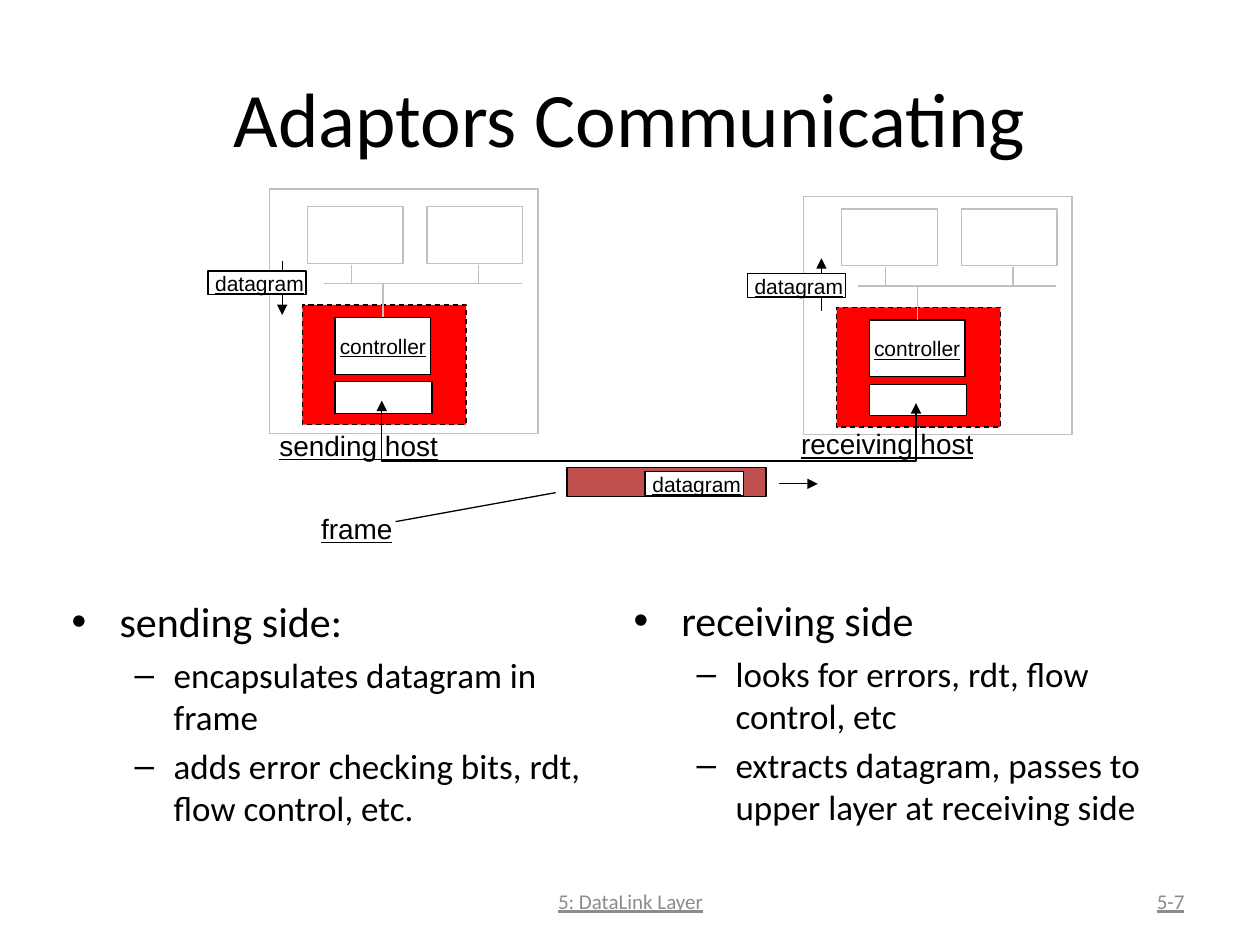
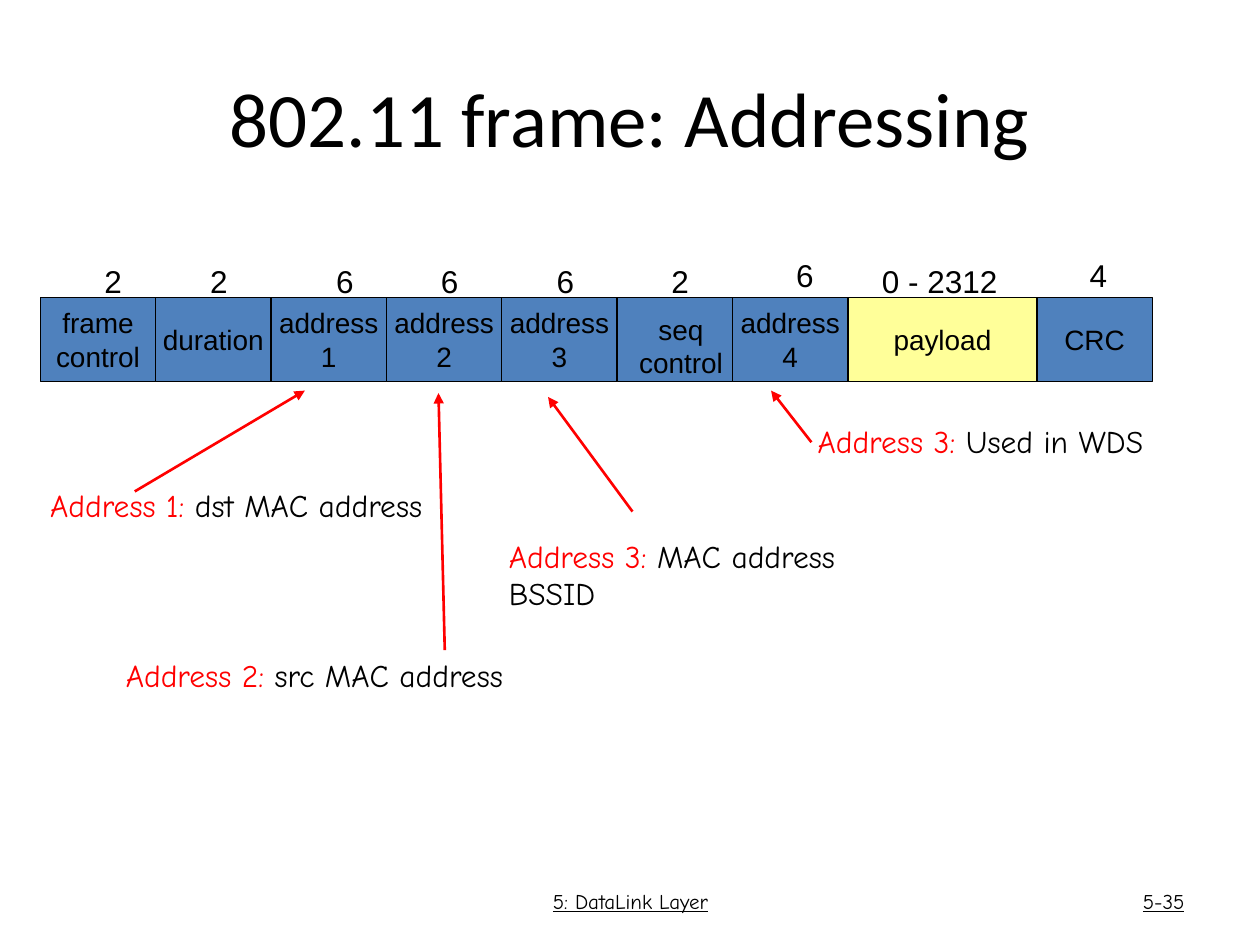
from dataclasses import dataclass
from typing import NamedTuple

from lxml import etree
from pptx import Presentation
from pptx.dml.color import RGBColor
from pptx.enum.dml import MSO_LINE
from pptx.enum.shapes import MSO_CONNECTOR, MSO_SHAPE
from pptx.enum.text import MSO_ANCHOR, MSO_AUTO_SIZE, PP_ALIGN
from pptx.oxml.ns import qn
from pptx.util import Inches, Pt

RECT = MSO_SHAPE.RECTANGLE
STRAIGHT = MSO_CONNECTOR.STRAIGHT
LEFT, CENTER, RIGHT = PP_ALIGN.LEFT, PP_ALIGN.CENTER, PP_ALIGN.RIGHT
TOP, MIDDLE = MSO_ANCHOR.TOP, MSO_ANCHOR.MIDDLE
DASH = MSO_LINE.DASH
FIT_SHAPE = MSO_AUTO_SIZE.SHAPE_TO_FIT_TEXT

BLACK, WHITE, GRAY, FOOTER_GRAY = "000000", "FFFFFF", "C0C0C0", "8C8C8C"
RED, BRICK, BLUE, YELLOW = "FF0000", "C0504D", "4F81BD", "FFFF99"
HEADING_FONT, LABEL_FONT, NOTE_FONT = "Calibri", "Arial", "Comic Neue"
TITLE_ONLY = 5


class Style(NamedTuple):
    font: str
    size: int
    color: str = BLACK
    underline: bool = False


class Run(NamedTuple):
    text: str
    style: Style


class Point(NamedTuple):
    x: float
    y: float


class Box(NamedTuple):
    x: float
    y: float
    w: float
    h: float


@dataclass
class Host:
    dx: float
    dy: float
    frame: Box
    name: str
    name_box: Box
    arrow_start: Point
    arrow_end: Point
    datagram: Point


@dataclass
class Field:
    lines: list[str]
    size: str
    size_at: Point
    w: float
    fill: str = BLUE
    size_w: float = 0.34


@dataclass
class Callout:
    label: str
    lines: list[str]
    box: Box
    arrow_start: Point
    arrow_end: Point
    wrap: bool = False


TITLE_STYLE = Style(HEADING_FONT, 44)
LABEL = Style(LABEL_FONT, 16, underline=True)
SMALL_LABEL = Style(LABEL_FONT, 12, underline=True)
FIELD_STYLE = Style(LABEL_FONT, 16)
SIZE_STYLE = Style(LABEL_FONT, 18)
NOTE_STYLE = Style(NOTE_FONT, 18)
NOTE_LABEL = Style(NOTE_FONT, 18, RED)

HOSTS = [
    Host(0, 0, Box(2.14, 1.5, 2.13, 1.94), "sending host", Box(2.12, 3.35, 1.46, 0.37),
         Point(2.24, 2.07), Point(2.24, 2.5), Point(1.65, 2.15)),
    Host(4.24, 0.02, Box(6.38, 1.56, 2.13, 1.89), "receiving host", Box(6.26, 3.34, 1.57, 0.37),
         Point(6.52, 2.47), Point(6.52, 2.05), Point(5.93, 2.17)),
]

SIDES = [
    (Box(0.47, 4.68, 4.45, 2.12), "sending side:",
     ["encapsulates datagram in frame", "adds error checking bits, rdt, flow control, etc."]),
    (Box(4.93, 4.67, 4.47, 2.02), "receiving side",
     ["looks for errors, rdt, flow control, etc",
      "extracts datagram, passes to upper layer at receiving side"]),
]

FIELD_X, FIELD_Y, FIELD_H = 0.32, 2.36, 0.67
FIELD_W = 6.41 / 7
SIZE_Y, HIGH_SIZE_Y = 2.03, 1.98
FIELDS = [
    Field(["frame", "control"], "2", Point(0.73, SIZE_Y), FIELD_W),
    Field(["duration"], "2", Point(1.57, SIZE_Y), FIELD_W),
    Field(["address", "1"], "6", Point(2.57, SIZE_Y), FIELD_W),
    Field(["address", "2"], "6", Point(3.4, SIZE_Y), FIELD_W),
    Field(["address", "3"], "6", Point(4.32, SIZE_Y), FIELD_W),
    Field([], "2", Point(5.23, SIZE_Y), FIELD_W),
    Field(["address", "4"], "6", Point(6.22, HIGH_SIZE_Y), FIELD_W),
    Field(["payload"], "0 - 2312", Point(6.9, SIZE_Y), 1.5, YELLOW, 1.12),
    Field(["CRC"], "4", Point(8.55, HIGH_SIZE_Y), FIELD_W),
]

CALLOUTS = [
    Callout("Address 1: ", ["dst MAC address"], Box(0.3, 3.81, 3.56, 0.4),
            Point(1.07, 3.9), Point(2.42, 3.1)),
    Callout("Address 2: ", ["src MAC address"], Box(0.9, 5.16, 3.59, 0.4),
            Point(3.53, 5.16), Point(3.48, 3.12)),
    Callout("Address 3:", [" MAC address", "BSSID"], Box(3.94, 4.21, 3.34, 0.7),
            Point(5.02, 4.06), Point(4.35, 3.15), True),
    Callout("Address 3:", [" Used in WDS"], Box(6.39, 3.3, 2.85, 0.71),
            Point(6.44, 3.51), Point(6.12, 3.1), True),
]


def rgb(color: str) -> RGBColor:
    return RGBColor.from_string(color)


def emu(values) -> list:
    return [Inches(v) for v in values]


def add_run(p, text: str, style: Style) -> None:
    r = p.add_run()
    r.text = text
    r.font.name = style.font
    r.font.size = Pt(style.size)
    r.font.color.rgb = rgb(style.color)
    if style.underline:
        r.font.underline = True


def fill_text(tf, paragraphs: list[list[Run]], align=LEFT, anchor=TOP, wrap=False) -> None:
    tf.word_wrap = wrap
    tf.vertical_anchor = anchor
    for i, runs in enumerate(paragraphs):
        p = tf.add_paragraph() if i else tf.paragraphs[0]
        p.alignment = align
        for text, style in runs:
            add_run(p, text, style)


def add_text(s, box: Box, paragraphs: list[list[Run]], align=LEFT, anchor=TOP,
             wrap=False, grow=True):
    sp = s.shapes.add_textbox(*emu(box))
    fill_text(sp.text_frame, paragraphs, align, anchor, wrap)
    if grow:
        sp.text_frame.auto_size = FIT_SHAPE
    return sp


def add_rect(s, box: Box, fill: str = WHITE, line: str = BLACK, dashed: bool = False):
    sp = s.shapes.add_shape(RECT, *emu(box))
    sp.shadow.inherit = False
    sp.fill.solid()
    sp.fill.fore_color.rgb = rgb(fill)
    style_line(sp, line)
    if dashed:
        sp.line.dash_style = DASH
    return sp


def style_line(sp, color: str, width: float = 0.75, arrows: tuple = ()) -> None:
    sp.line.color.rgb = rgb(color)
    sp.line.width = Pt(width)
    ln = sp.element.spPr.find(qn("a:ln"))
    for end in arrows:
        etree.SubElement(ln, qn(f"a:{end}"), type="triangle")


def add_line(s, start: Point, end: Point, color: str = BLACK, width: float = 0.75,
             arrow: bool = False):
    cx = s.shapes.add_connector(STRAIGHT, *emu(start + end))
    style_line(cx, color, width, ("tailEnd",) if arrow else ())
    etree.SubElement(cx.element.spPr, qn("a:effectLst"))
    return cx


def add_bullets(s, box: Box, heading: str, items: list[str]) -> None:
    rows = [(heading, 24, "•", 0.38, 0.38)] + [(t, 20, "–", 0.81, 0.31) for t in items]
    sp = add_text(s, box, [[Run(t, Style(HEADING_FONT, size))] for t, size, *_ in rows],
                  wrap=True, grow=False)
    for i, (p, row) in enumerate(zip(sp.text_frame.paragraphs, rows)):
        _, size, mark, margin, hang = row
        pPr = p._p.get_or_add_pPr()
        pPr.set("marL", str(Inches(margin)))
        pPr.set("indent", str(-Inches(hang)))
        etree.SubElement(pPr, qn("a:buFont"), typeface=LABEL_FONT)
        etree.SubElement(pPr, qn("a:buChar"), char=mark)
        if i:
            p.space_before = Pt(size * 0.2)


def new_slide(prs, title: str, number: str, footer_style: Style):
    s = prs.slides.add_slide(prs.slide_layouts[TITLE_ONLY])
    sp = s.shapes.title
    sp.left, sp.top, sp.width, sp.height = emu(Box(0.5, 0.3, 9, 1.25))
    fill_text(sp.text_frame, [[Run(title, TITLE_STYLE)]], CENTER, MIDDLE, True)
    for box, text, align in ((Box(3.42, 6.95, 3.17, 0.4), "5: DataLink Layer", CENTER),
                             (Box(7.17, 6.95, 2.33, 0.4), number, RIGHT)):
        add_text(s, box, [[Run(text, footer_style)]], align, MIDDLE, True, False)
    return s


def draw_datagram(s, at: Point) -> None:
    add_rect(s, Box(at.x, at.y, 0.78, 0.19))
    add_text(s, Box(at.x - 0.04, at.y - 0.05, 0.96, 0.3), [[Run("datagram", SMALL_LABEL)]])


def draw_host(s, host: Host) -> None:
    def box(x: float, y: float, w: float, h: float) -> Box:
        return Box(x + host.dx, y + host.dy, w, h)

    def point(x: float, y: float) -> Point:
        return Point(x + host.dx, y + host.dy)

    add_rect(s, host.frame, line=GRAY)
    add_line(s, host.arrow_start, host.arrow_end, arrow=True)
    add_rect(s, box(2.4, 2.42, 1.3, 0.95), RED, dashed=True)
    add_rect(s, box(2.66, 3.03, 0.77, 0.25))
    controller = add_rect(s, box(2.66, 2.52, 0.76, 0.45))
    fill_text(controller.text_frame, [[Run("controller", SMALL_LABEL)]], CENTER, MIDDLE)
    add_line(s, point(2.57, 2.25), point(4.14, 2.25), GRAY)
    stub = add_line(s, point(3.04, 2.52), point(3.04, 2.25), GRAY)
    stub.begin_connect(controller, 0)
    for unit_x, drop_x in ((2.44, 2.79), (3.39, 3.8)):
        add_rect(s, box(unit_x, 1.64, 0.76, 0.45), line=GRAY)
        add_line(s, point(drop_x, 2.25), point(drop_x, 2.1), GRAY)
    add_text(s, host.name_box, [[Run(host.name, LABEL)]])
    draw_datagram(s, host.datagram)


def draw_link(s) -> None:
    start, *rest = [emu(pt) for pt in ((3.03, 3.18), (3.03, 3.66), (7.27, 3.66), (7.27, 3.2))]
    builder = s.shapes.build_freeform(*start)
    builder.add_line_segments(rest, close=False)
    link = builder.convert_to_shape()
    link.shadow.inherit = False
    link.fill.background()
    style_line(link, BLACK, arrows=("headEnd", "tailEnd"))


def build_adaptors(prs) -> None:
    s = new_slide(prs, "Adaptors Communicating", "5-7",
                  Style(HEADING_FONT, 12, FOOTER_GRAY, True))
    for side in SIDES:
        add_bullets(s, *side)
    add_rect(s, Box(4.5, 3.71, 1.58, 0.23), BRICK)
    for host in HOSTS:
        draw_host(s, host)
    draw_link(s)
    draw_datagram(s, Point(5.12, 3.74))
    add_line(s, Point(6.18, 3.84), Point(6.49, 3.84), arrow=True)
    add_text(s, Box(2.45, 4.01, 0.77, 0.37), [[Run("frame", LABEL)]])
    add_line(s, Point(3.14, 4.14), Point(4.41, 3.91))


def build_addressing(prs) -> None:
    s = new_slide(prs, "802.11 frame: Addressing", "5-35", Style(NOTE_FONT, 12, underline=True))
    x = FIELD_X
    for field in FIELDS:
        sp = add_rect(s, Box(x, FIELD_Y, field.w, FIELD_H), field.fill)
        fill_text(sp.text_frame, [[Run(t, FIELD_STYLE)] for t in field.lines], CENTER, MIDDLE)
        add_text(s, Box(*field.size_at, field.size_w, 0.4), [[Run(field.size, SIZE_STYLE)]])
        x += field.w
    add_text(s, Box(4.97, 2.43, 0.87, 0.64),
             [[Run(t, FIELD_STYLE)] for t in ("seq", "control")], CENTER)
    for note in CALLOUTS:
        paragraphs = [[Run(t, NOTE_STYLE)] for t in note.lines]
        paragraphs[0].insert(0, Run(note.label, NOTE_LABEL))
        add_text(s, note.box, paragraphs, wrap=note.wrap)
        add_line(s, note.arrow_start, note.arrow_end, RED, 1.5, True)


def main() -> None:
    prs = Presentation()
    prs.slide_width, prs.slide_height = Inches(10), Inches(7.5)
    build_adaptors(prs)
    build_addressing(prs)
    prs.save("out.pptx")


if __name__ == "__main__":
    main()
